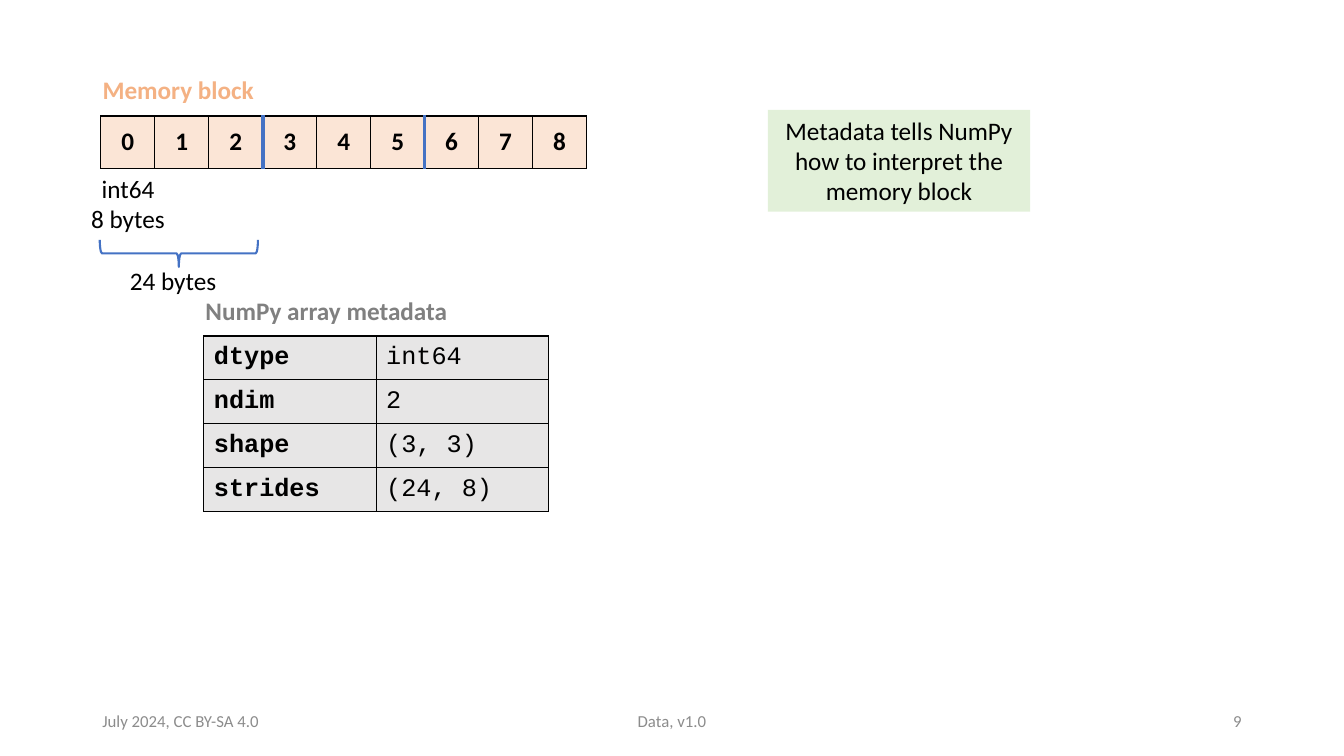
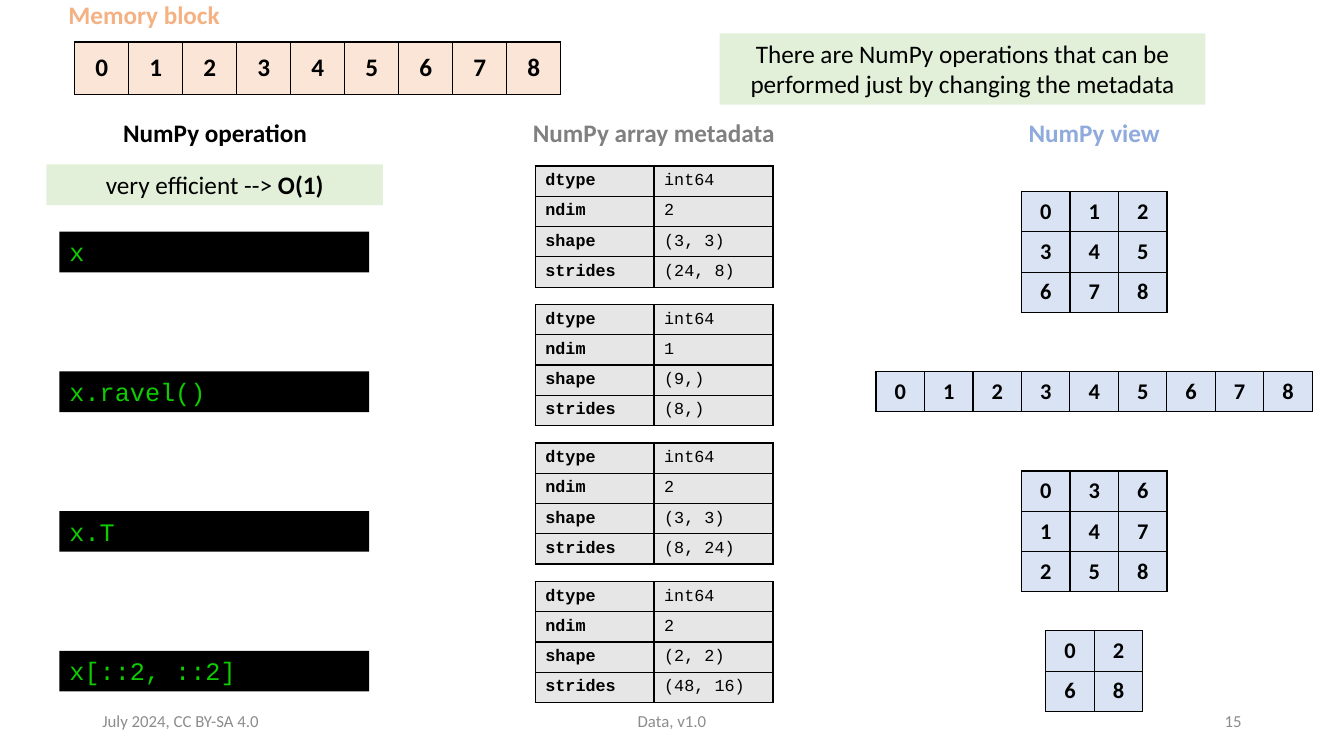
from lxml.etree import SubElement
from pptx import Presentation
from pptx.dml.color import RGBColor
from pptx.enum.shapes import MSO_SHAPE as Shape
from pptx.enum.text import MSO_ANCHOR as Anchor, MSO_AUTO_SIZE as AutoSize, PP_ALIGN as Align
from pptx.oxml.ns import qn
from pptx.util import Pt

BLACK = RGBColor(0x00, 0x00, 0x00)
GREY = RGBColor(0x80, 0x80, 0x80)
FOOTER_GREY = RGBColor(0x8C, 0x8C, 0x8C)
CELL_GREY = RGBColor(0xE7, 0xE6, 0xE6)
ORANGE = RGBColor(0xF4, 0xB1, 0x83)
PALE_ORANGE = RGBColor(0xFB, 0xE5, 0xD6)
BLUE = RGBColor(0x44, 0x72, 0xC4)
SOFT_BLUE = RGBColor(0x8F, 0xAA, 0xDC)
PALE_BLUE = RGBColor(0xDA, 0xE3, 0xF3)
PALE_GREEN = RGBColor(0xE2, 0xF0, 0xD9)
CODE_GREEN = RGBColor(0x0E, 0xCC, 0x00)

SANS, MONO = "Calibri", "Courier New"
LINE_H = 29.08


def write(tf, text, size=18, font=SANS, color=BLACK, bold=False, align=Align.LEFT, bold_tail=""):
    for i, line in enumerate(text.split("\n")):
        p = tf.paragraphs[0] if i == 0 else tf.add_paragraph()
        p.alignment = align
        for part, is_bold in ((line, bold), (bold_tail, True)):
            if part:
                r = p.add_run()
                r.text = part
                r.font.size, r.font.name, r.font.bold = Pt(size), font, is_bold
                r.font.color.rgb = color


def set_border(cell, side, color, width):
    ln = SubElement(cell._tc.get_or_add_tcPr(), qn(f"a:ln{side}"), w=str(Pt(width)))
    SubElement(SubElement(ln, qn("a:solidFill")), qn("a:srgbClr"), val=str(color))


class Deck:
    def __init__(self):
        self.prs = Presentation()
        self.prs.slide_width, self.prs.slide_height = Pt(960), Pt(540)

    def add_slide(self, number):
        self.s = self.prs.slides.add_slide(self.prs.slide_layouts[6])
        footers = (
            (66, 216, "July 2024, CC BY-SA 4.0", Align.LEFT),
            (318, 324, "Data, v1.0", Align.CENTER),
            (678, 216, str(number), Align.RIGHT),
        )
        for x, w, text, align in footers:
            self.label(x, 500.5, w, text, h=28.75, grow=False, anchor=Anchor.MIDDLE,
                       size=12, color=FOOTER_GREY, align=align)

    def label(self, x, y, w, text, h=LINE_H, grow=True, anchor=Anchor.TOP, **fmt):
        tf = self.s.shapes.add_textbox(Pt(x), Pt(y), Pt(w), Pt(h)).text_frame
        tf.word_wrap = True
        tf.auto_size = AutoSize.SHAPE_TO_FIT_TEXT if grow else AutoSize.NONE
        tf.vertical_anchor = anchor
        write(tf, text, **fmt)

    def box(self, x, y, w, text, h=LINE_H, fill=PALE_GREEN, **fmt):
        sp = self.s.shapes.add_shape(Shape.RECTANGLE, Pt(x), Pt(y), Pt(w), Pt(h))
        sp.shadow.inherit = False
        sp.fill.solid()
        sp.fill.fore_color.rgb = fill
        sp.line.fill.background()
        tf = sp.text_frame
        tf.word_wrap = True
        tf.auto_size = AutoSize.SHAPE_TO_FIT_TEXT
        tf.vertical_anchor = Anchor.TOP
        write(tf, text, **{"align": Align.CENTER, **fmt})

    def brace(self, x, y, w, h):
        sp = self.s.shapes.add_shape(Shape.LEFT_BRACE, Pt(x), Pt(y), Pt(w), Pt(h))
        sp.rotation = 270
        sp.shadow.inherit = False
        sp.fill.background()
        sp.line.color.rgb = BLUE
        sp.line.width = Pt(1.5)

    def grid(self, x, y, rows, col_w, row_h, fill, dividers=(), insets=(7.2, 3.6),
             bold_cols=None, **fmt):
        n_rows, n_cols = len(rows), len(rows[0])
        table = self.s.shapes.add_table(n_rows, n_cols, Pt(x), Pt(y),
                                        Pt(col_w * n_cols), Pt(row_h * n_rows)).table
        table.first_row = table.horz_banding = False
        for col in table.columns:
            col.width = Pt(col_w)
        for row, values in zip(table.rows, rows):
            row.height = Pt(row_h)
            for c, (cell, value) in enumerate(zip(row.cells, values)):
                cell.margin_left = cell.margin_right = Pt(insets[0])
                cell.margin_top = cell.margin_bottom = Pt(insets[1])
                cell.vertical_anchor = Anchor.MIDDLE
                for side, edge in (("L", c), ("R", c + 1), ("T", None), ("B", None)):
                    color, width = (BLUE, 3) if edge in dividers else (BLACK, 1)
                    set_border(cell, side, color, width)
                cell.fill.solid()
                cell.fill.fore_color.rgb = fill
                write(cell.text_frame, str(value),
                      bold=bold_cols is None or c in bold_cols, **fmt)

    def memory(self, x, y, dividers=()):
        self.grid(x, y, [range(9)], 38.57, 37.5, PALE_ORANGE, dividers, align=Align.CENTER)

    def metadata(self, x, y, ndim, shape, strides, col_w, row_h, size):
        rows = [("dtype", "int64"), ("ndim", ndim), ("shape", shape), ("strides", strides)]
        self.grid(x, y, rows, col_w, row_h, CELL_GREY, bold_cols=(0,), size=size, font=MONO)

    def view(self, center_x, center_y, rows):
        col_w, row_h = 34.65, 28.8
        self.grid(center_x - col_w * len(rows[0]) / 2, center_y - row_h * len(rows) / 2,
                  rows, col_w, row_h, PALE_BLUE, insets=(5.76, 2.88), size=16,
                  align=Align.CENTER)


def add_memory_slide(deck):
    deck.add_slide(9)
    deck.box(548.6, 78.5, 187.2, "Metadata tells NumPy how to interpret the memory block", h=72.7)
    deck.memory(72, 82.8, dividers=(3, 6))
    deck.label(43.2, 120.3, 96.5, "int64\n8 bytes", h=50.9, align=Align.CENTER)
    deck.metadata(145.6, 240, 2, "(3, 3)", "(24, 8)", 123.1, 31.35, 18)
    deck.label(66.2, 49.7, 153.4, "Memory block", color=ORANGE, bold=True)
    deck.brace(118.1, 124.5, 19.4, 113)
    deck.label(85.7, 185.8, 108.7, "24 bytes")
    deck.label(139.7, 207.5, 203.8, "NumPy array metadata", color=GREY, bold=True)


def add_operations_slide(deck):
    deck.add_slide(15)
    deck.label(41.8, -3.8, 153.4, "Memory block", color=ORANGE, bold=True)
    deck.memory(53.5, 30)
    deck.box(514.1, 23.8, 347, "There are NumPy operations that can be performed "
             "just by changing the metadata", h=50.9)

    view_x = 781.6
    headings = (
        (153.7, 153.4, "NumPy operation", BLACK),
        (467, 203.8, "NumPy array metadata", GREY),
        (view_x, 153.4, "NumPy view", SOFT_BLUE),
    )
    for center, w, text, color in headings:
        deck.label(center - w / 2, 80.2, w, text, color=color, bold=True, align=Align.CENTER)
    deck.box(33.1, 117.4, 240.5, "very efficient --> ", bold_tail="O(1)")

    square = [(0, 1, 2), (3, 4, 5), (6, 7, 8)]
    operations = (
        ("x", 2, "(3, 3)", "(24, 8)", square),
        ("x.ravel()", 1, "(9,)", "(8,)", [range(9)]),
        ("x.T", 2, "(3, 3)", "(8, 24)", list(zip(*square))),
        ("x[::2, ::2]", 2, "(2, 2)", "(48, 16)", [row[::2] for row in square[::2]]),
    )
    for i, (code, ndim, shape, strides, rows) in enumerate(operations):
        center_y = 180 + 99.8 * i
        deck.box(42.5, center_y - LINE_H / 2, 221.2, code, fill=BLACK, font=MONO,
                 color=CODE_GREEN, align=Align.LEFT)
        deck.metadata(382.3, 118.6 + 98.9 * i, ndim, shape, strides, 84.9, 21.6, 12)
        deck.view(view_x, center_y, rows)


def main():
    deck = Deck()
    add_memory_slide(deck)
    add_operations_slide(deck)
    deck.prs.save("out.pptx")


if __name__ == "__main__":
    main()
